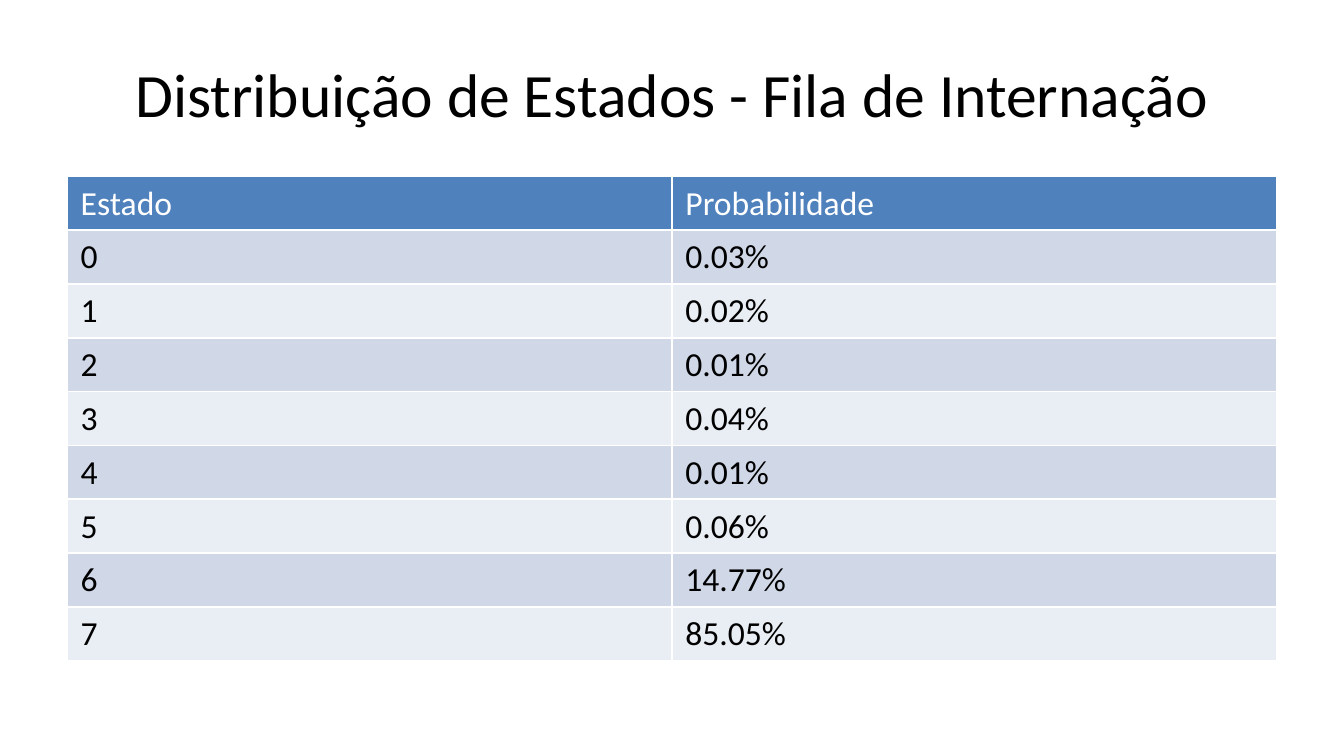
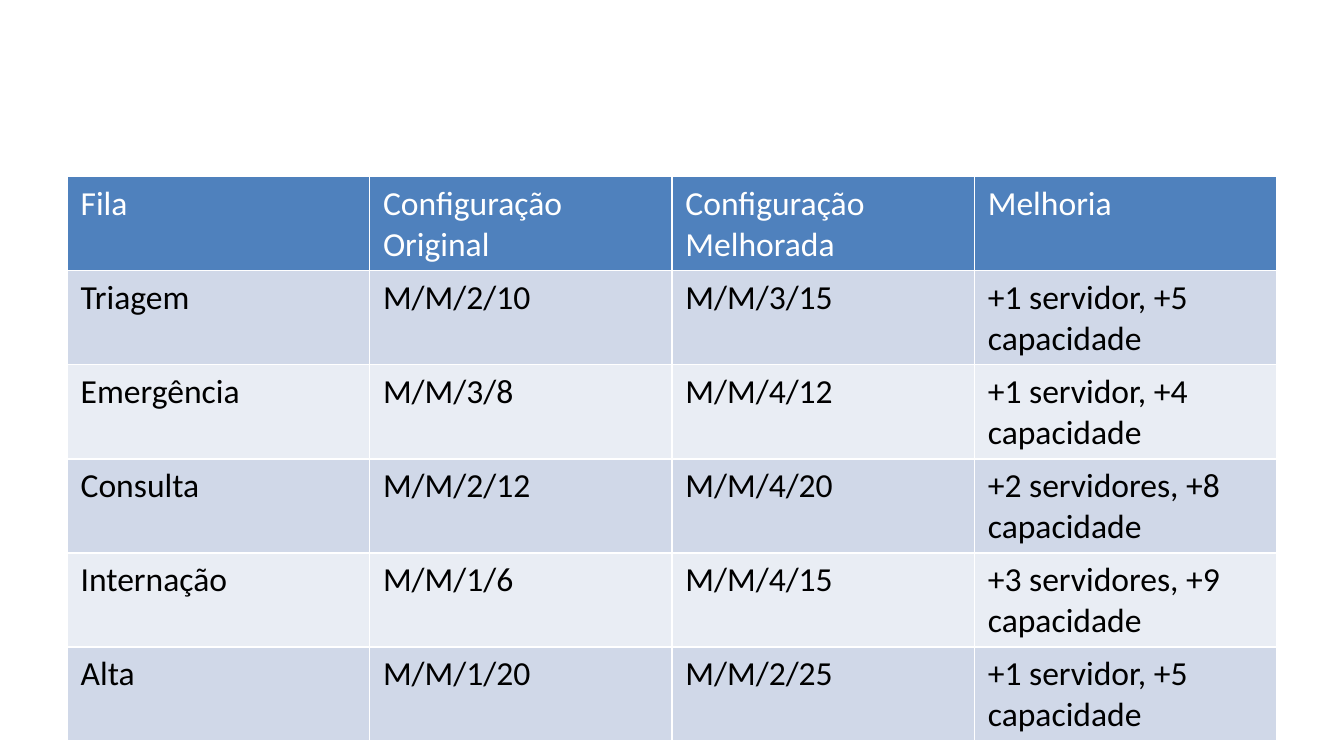
from pptx import Presentation
from pptx.dml.color import RGBColor
from pptx.enum.text import MSO_ANCHOR as Anchor, PP_ALIGN as Align
from pptx.util import Inches, Pt

WHITE = RGBColor(0xFF, 0xFF, 0xFF)
BLACK = RGBColor(0x00, 0x00, 0x00)
HEADER_BLUE = RGBColor(0x4F, 0x81, 0xBD)
BAND_DARK = RGBColor(0xD0, 0xD8, 0xE8)
BAND_LIGHT = RGBColor(0xE9, 0xED, 0xF4)

STATES = [
    ("Estado", "Probabilidade"),
    ("0", "0.03%"),
    ("1", "0.02%"),
    ("2", "0.01%"),
    ("3", "0.04%"),
    ("4", "0.01%"),
    ("5", "0.06%"),
    ("6", "14.77%"),
    ("7", "85.05%"),
]

IMPROVEMENTS = [
    ("Fila", "Configuração Original", "Configuração Melhorada", "Melhoria"),
    ("Triagem", "M/M/2/10", "M/M/3/15", "+1 servidor, +5 capacidade"),
    ("Emergência", "M/M/3/8", "M/M/4/12", "+1 servidor, +4 capacidade"),
    ("Consulta", "M/M/2/12", "M/M/4/20", "+2 servidores, +8 capacidade"),
    ("Internação", "M/M/1/6", "M/M/4/15", "+3 servidores, +9 capacidade"),
    ("Alta", "M/M/1/20", "M/M/2/25", "+1 servidor, +5 capacidade"),
]


class Deck:
    font = "Calibri"
    title_size = Pt(33)
    cell_size = Pt(18)
    grid_columns = 20
    grid_rows = 30

    def __init__(self):
        self.presentation = Presentation()
        self.presentation.slide_width = Inches(10)
        self.presentation.slide_height = Inches(10) * 9 // 16
        self.slide = None

    def add_slide(self):
        self.slide = self.presentation.slides.add_slide(self.presentation.slide_layouts[6])
        background = self.slide.background.fill
        background.solid()
        background.fore_color.rgb = WHITE

    def place(self, column, row, columns, rows):
        column_width = self.presentation.slide_width / self.grid_columns
        row_height = self.presentation.slide_height / self.grid_rows
        return (
            round(column * column_width),
            round(row * row_height),
            round(columns * column_width),
            round(rows * row_height),
        )

    def add_run(self, paragraph, text, size, color):
        run = paragraph.add_run()
        run.text = text
        run.font.name = self.font
        run.font.size = size
        run.font.bold = False
        run.font.color.rgb = color

    def add_title(self, text):
        shape = self.slide.shapes.add_textbox(*self.place(1, 1.2, 18, 5))
        frame = shape.text_frame
        frame.word_wrap = True
        frame.vertical_anchor = Anchor.MIDDLE
        paragraph = frame.paragraphs[0]
        paragraph.alignment = Align.CENTER
        self.add_run(paragraph, text, self.title_size, BLACK)

    def add_table(self, records, rows):
        shape = self.slide.shapes.add_table(
            len(records), len(records[0]), *self.place(1, 7, 18, rows)
        )
        for index, record in enumerate(records):
            is_header = index == 0
            band = BAND_DARK if index % 2 else BAND_LIGHT
            for column, text in enumerate(record):
                cell = shape.table.cell(index, column)
                cell.fill.solid()
                cell.fill.fore_color.rgb = HEADER_BLUE if is_header else band
                paragraph = cell.text_frame.paragraphs[0]
                self.add_run(paragraph, text, self.cell_size, WHITE if is_header else BLACK)


def main():
    deck = Deck()

    deck.add_slide()
    deck.add_title("Distribuição de Estados - Fila de Internação")
    deck.add_table(STATES, 15.6)

    deck.add_slide()
    deck.add_table(IMPROVEMENTS, 12.8)

    deck.presentation.save("out.pptx")


if __name__ == "__main__":
    main()
